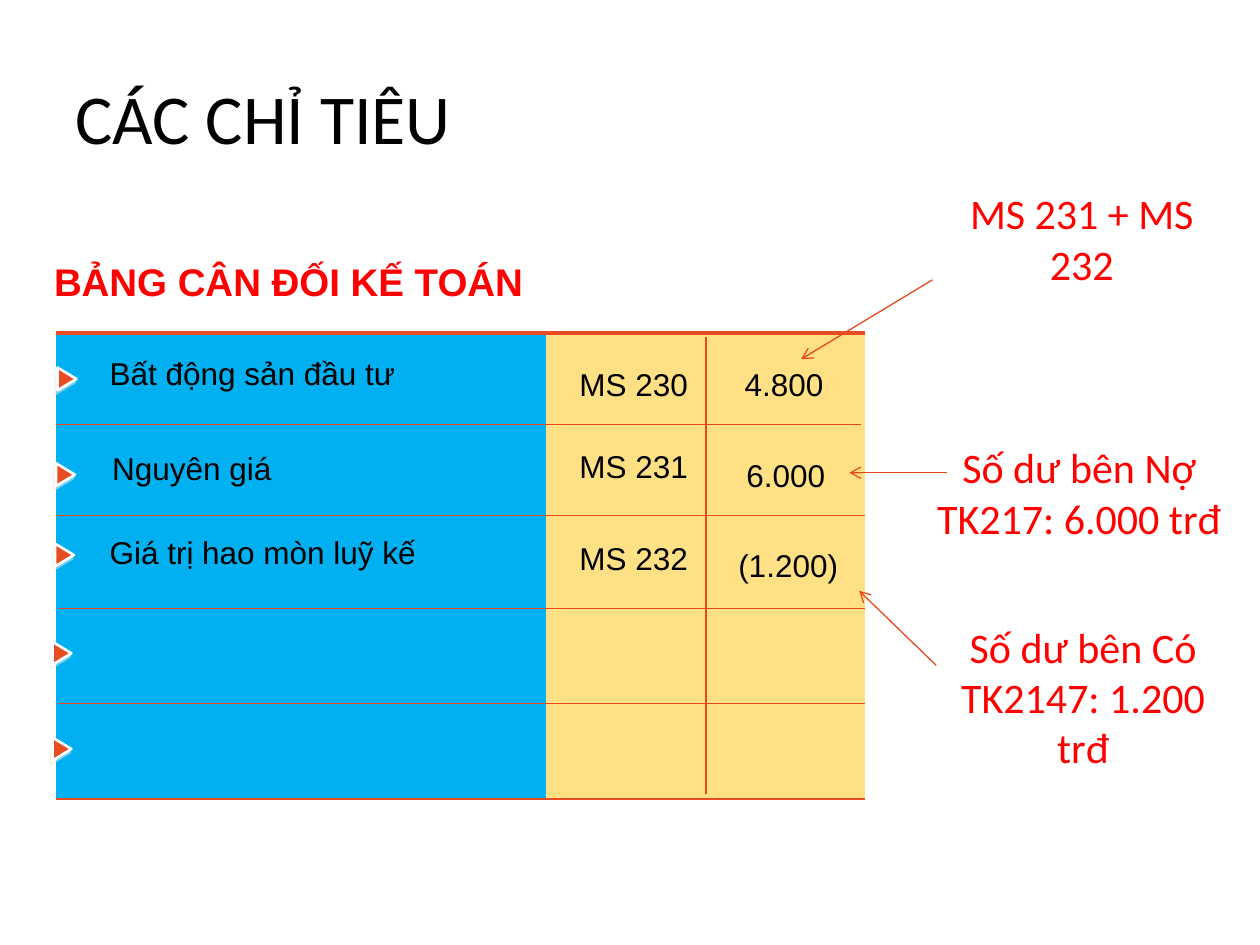
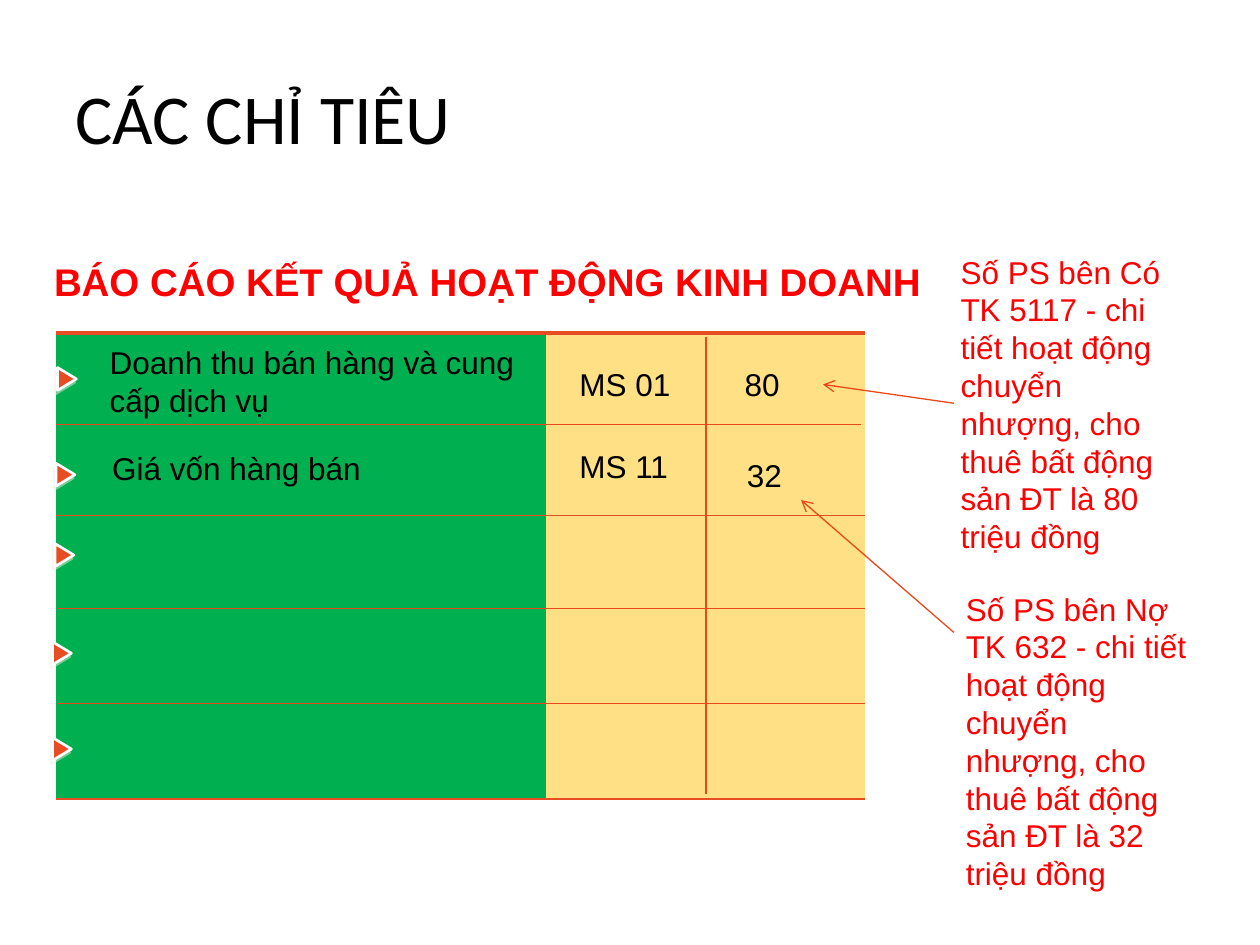
import pptx
import pptx.dml.color
import pptx.enum.shapes
import pptx.enum.text
import pptx.oxml
import pptx.oxml.ns
import pptx.util
from pptx.util import Cm, Pt

COLORS = {
    "text": "000000", "accent": "FF0000", "rule": "E8481C", "border": "E84C22",
    "marker": "E84C22", "marker_edge": "FFFFFF", "shadow": "EEECE1",
    "amounts": "FFE085", "balance": "00B0F0", "income": "00B050",
}
SHAPES = pptx.enum.shapes.MSO_SHAPE
ALIGN = pptx.enum.text.PP_ALIGN
ANCHOR = pptx.enum.text.MSO_ANCHOR
A_NS = pptx.oxml.ns.nsdecls("a")

# Boxes are left, top, width, height in centimetres.
TITLE_BOX = (1.27, 0.76, 22.86, 3.18)
HEADING_BOX = (0.84, 5.08, 20.52, 1.19)
TABLE_BOX = (1.12, 6.71, 16.31, 9.4)
NAME_COLUMN = 9.88
FIRST_ROW = 3.68

# Offsets from the corner of the table.
MARKERS = [(0, 0.74), (-0.03, 2.67), (-0.05, 4.29), (-0.1, 6.27), (-0.1, 8.2)]
RULES = [((13.11, 0.08), (13.11, 9.3)), ((0, 1.85), (16.23, 1.85)),
         ((0.05, 5.56), (16.31, 5.56)), ((0.05, 7.47), (16.31, 7.47))]
CODE_TOPS = [0.53, 2.18, 4.04]


def rgb(name):
    return pptx.dml.color.RGBColor.from_string(COLORS[name])


def cms(values):
    return [Cm(v) for v in values]


def add_run(p, text, size, color="text", font="Arial", bold=False):
    r = p.add_run()
    r.text = text
    r.font.size, r.font.name, r.font.bold = Pt(size), font, bold
    r.font.color.rgb = rgb(color)


def add_text(slide, box, text, size=18, align=ALIGN.LEFT, **style):
    tf = slide.shapes.add_textbox(*cms(box)).text_frame
    tf.word_wrap = True
    tf.auto_size = pptx.enum.text.MSO_AUTO_SIZE.SHAPE_TO_FIT_TEXT
    p = tf.paragraphs[0]
    p.alignment = align
    add_run(p, text, size, **style)


def add_line(slide, start, end, arrow=False):
    sp = slide.shapes.add_connector(
        pptx.enum.shapes.MSO_CONNECTOR.STRAIGHT, *cms(start + end))
    sp.line.color.rgb = rgb("rule")
    sp.line.width = Pt(0.75)
    if arrow:
        sp.line._get_or_add_ln().append(
            pptx.oxml.parse_xml(f'<a:tailEnd {A_NS} type="arrow"/>'))
    sp._element.spPr.append(pptx.oxml.parse_xml(f"<a:effectLst {A_NS}/>"))


def add_marker(slide, left, top):
    """Small triangle pointing right, with a short shadow."""
    sp = slide.shapes.add_shape(SHAPES.ISOSCELES_TRIANGLE, *cms((left, top, 0.46, 0.38)))
    sp.rotation = 90
    sp.fill.solid()
    sp.fill.fore_color.rgb = rgb("marker")
    sp.line.color.rgb = rgb("marker_edge")
    sp.line.width = Pt(1.5)
    sp.shadow.inherit = False
    effects = sp._element.spPr.find(pptx.oxml.ns.qn("a:effectLst"))
    effects.append(pptx.oxml.parse_xml(
        f'<a:outerShdw {A_NS} dist="{Pt(2.2)}" dir="{117 * 60000}">'
        f'<a:srgbClr val="{COLORS["shadow"]}"><a:alpha val="50000"/></a:srgbClr>'
        "</a:outerShdw>"))


def set_borders(cell, top, bottom):
    """Draw the top and bottom borders, in points, and no side borders."""
    paint = f'<a:solidFill><a:srgbClr val="{COLORS["border"]}"/></a:solidFill>'
    tc_pr = cell._tc.get_or_add_tcPr()
    for i, (side, width) in enumerate(zip("LRTB", (0, 0, top, bottom))):
        tc_pr.insert(i, pptx.oxml.parse_xml(
            f'<a:ln{side} {A_NS} w="{Pt(width)}">'
            f'{paint if width else "<a:noFill/>"}</a:ln{side}>'))


def add_grid(slide, box, name_fill):
    table = slide.shapes.add_table(2, 2, *cms(box)).table
    table.first_row = table.horz_banding = False
    for col, width in zip(table.columns, (NAME_COLUMN, box[2] - NAME_COLUMN)):
        col.width = Cm(width)
    for i, height in enumerate((FIRST_ROW, box[3] - FIRST_ROW)):
        table.rows[i].height = Cm(height)
        for j, color in enumerate((name_fill, "amounts")):
            cell = table.cell(i, j)
            cell.fill.solid()
            cell.fill.fore_color.rgb = rgb(color)
            set_borders(cell, 1 if i else 2.25, 1)


def add_statement(slide, box, name_fill, names, codes, amounts):
    """Table with its markers, rules and entries, all offset from the box corner."""
    left, top = box[:2]
    add_grid(slide, box, name_fill)
    for x, y in MARKERS:
        add_marker(slide, left + x, top + y)
    for (x1, y1), (x2, y2) in RULES:
        add_line(slide, (left + x1, top + y1), (left + x2, top + y2))
    for x, y, text in names:
        add_text(slide, (left + x, top + y, 9.04, 1.02), text)
    for y, text in zip(CODE_TOPS, codes):
        add_text(slide, (left + 10.31, top + y, 2.97, 1.02), text)
    for x, y, width, align, text in amounts:
        add_text(slide, (left + x, top + y, width, 1.02), text, align=align)


def add_callout(slide, box, text, start, end, size, font, align):
    """Unframed oval note; the arrow's ends are offsets from the box corner."""
    left, top = box[:2]
    sp = slide.shapes.add_shape(SHAPES.OVAL, *cms(box))
    sp.fill.background()
    sp.line.fill.background()
    sp.shadow.inherit = False
    tf = sp.text_frame
    tf.word_wrap = True
    tf.vertical_anchor = ANCHOR.MIDDLE
    p = tf.paragraphs[0]
    p.alignment = align
    add_run(p, text, size, "accent", font)
    add_line(slide, (left + start[0], top + start[1]),
             (left + end[0], top + end[1]), arrow=True)


def add_indicator_slide(prs, heading, statement, callouts, note_style):
    slide = prs.slides.add_slide(prs.slide_layouts[5])
    title = slide.shapes.title
    title.left, title.top, title.width, title.height = cms(TITLE_BOX)
    title.text_frame.vertical_anchor = ANCHOR.MIDDLE
    p = title.text_frame.paragraphs[0]
    p.alignment = ALIGN.LEFT
    add_run(p, "CÁC CHỈ TIÊU", 40, font="Calibri")
    add_statement(slide, TABLE_BOX, **statement)
    for callout in callouts:
        add_callout(slide, *callout, **note_style)
    add_text(slide, HEADING_BOX, heading, 22, color="accent", bold=True)


def main():
    prs = pptx.Presentation()
    prs.slide_width, prs.slide_height = Cm(25.4), Cm(19.05)

    add_indicator_slide(
        prs, "BẢNG CÂN ĐỐI KẾ TOÁN",
        dict(name_fill="balance",
             names=[(0.84, 0.3, "Bất động sản đầu tư"),
                    (0.89, 2.21, "Nguyên giá"),
                    (0.84, 3.91, "Giá trị hao mòn luỹ kế")],
             codes=["MS 230", "MS 231", "MS 232"],
             amounts=[(13.64, 0.53, 2.82, ALIGN.LEFT, "4.800"),
                      (13.49, 2.36, 2.46, ALIGN.CENTER, "6.000"),
                      (13.46, 4.17, 2.62, ALIGN.CENTER, "(1.200)")]),
        [((17.58, 3.61, 8.46, 2.39), "MS 231 + MS 232", (1.22, 2.03), (-1.43, 3.63)),
         ((17.17, 7.87, 9.17, 4.11), "Số dư bên Nợ TK217: 6.000 trđ",
          (1.93, 1.66), (-0.05, 1.66)),
         ((17.25, 11.99, 9.17, 4.11), "Số dư bên Có TK2147: 1.200 trđ",
          (1.62, 1.42), (0.07, -0.08))],
        dict(size=24, font="Calibri", align=ALIGN.CENTER))

    add_indicator_slide(
        prs, "BÁO CÁO KẾT QUẢ HOẠT ĐỘNG KINH DOANH",
        dict(name_fill="income",
             names=[(0.84, 0.08, "Doanh thu bán hàng và cung cấp dịch vụ"),
                    (0.89, 2.21, "Giá vốn hàng bán")],
             codes=["MS 01", "MS 11"],
             amounts=[(13.64, 0.53, 2.82, ALIGN.LEFT, "80"),
                      (13.06, 2.36, 2.46, ALIGN.CENTER, "32")]),
        [((18.11, 5.08, 6.86, 6.12),
          "Số PS bên Có TK 5117 - chi tiết hoạt động chuyển nhượng, "
          "cho thuê bất động sản ĐT là 80 triệu đồng", (1.12, 3.05), (-1.52, 2.67)),
         ((18.16, 11.86, 7.24, 6.15),
          "Số PS bên Nợ TK 632 - chi tiết hoạt động chuyển nhượng, "
          "cho thuê bất động sản ĐT là 32 triệu đồng", (1.07, 0.89), (-2.01, -1.78))],
        dict(size=18, font="Arial", align=ALIGN.LEFT))

    prs.save("out.pptx")


if __name__ == "__main__":
    main()
